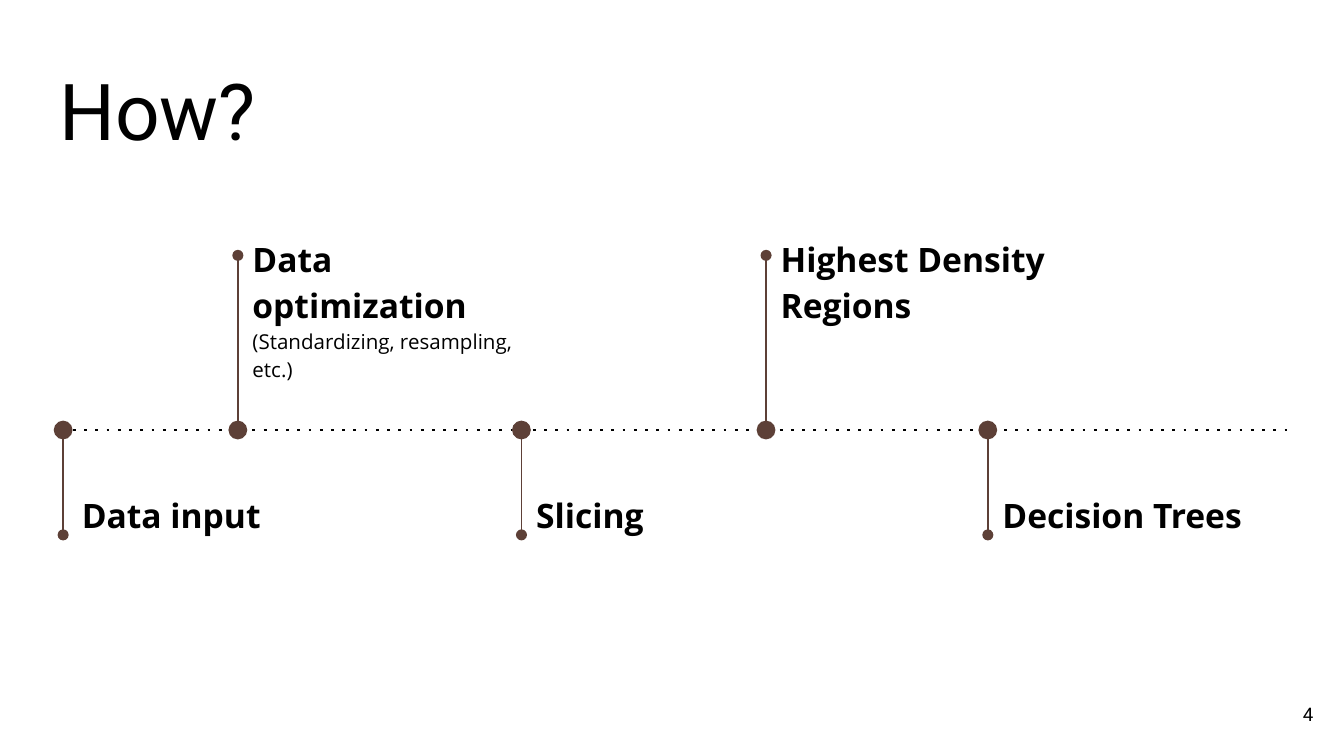
from pptx import Presentation
from pptx.dml.color import RGBColor
from pptx.enum.shapes import MSO_CONNECTOR, MSO_SHAPE
from pptx.enum.text import MSO_ANCHOR, MSO_AUTO_SIZE, PP_ALIGN
from pptx.oxml.ns import qn
from pptx.util import Inches, Pt
from lxml.etree import SubElement

# Content: x of the milestone, side of the axis, label gap, heading, detail
TITLE = "How?"
PAGE = "4"
STEPS = [
    (0.47, "below", 0.04, "Data input", None),
    (1.77, "above", 0.01, "Data optimization", "(Standardizing, resampling, etc.)"),
    (3.88, "below", 0.01, "Slicing", None),
    (5.70, "above", 0.01, "Highest Density Regions", None),
    (7.35, "below", 0.01, "Decision Trees", None),
]

THEME = {
    "ink": RGBColor(0x00, 0x00, 0x00),
    "accent": RGBColor(0x5D, 0x40, 0x37),
    "head": "Roboto", "body": "Open Sans",
    "title": 42, "step": 18, "detail": 11, "page": 10,
}

# Layout in inches
AXIS_Y, AXIS_X = 3.2, (0.46, 9.58)
DOT = 0.14
LABEL_W = 2.38
SIDES = {  # stem start, stem end, label top, label height
    "above": (AXIS_Y - DOT / 2, 1.9, 1.63, 1.2),
    "below": (AXIS_Y + DOT / 2, 3.98, 3.54, 1.32),
}

# Widescreen 16:9 slide
prs = Presentation()
prs.slide_width = Inches(10)
prs.slide_height = prs.slide_width * 9 // 16
s = prs.slides.add_slide(prs.slide_layouts[5])


def add_line(x1, y1, x2, y2, color, width, **ends):
    """Draw a line; ends maps a DrawingML line child to its attributes."""
    ln = s.shapes.add_connector(MSO_CONNECTOR.STRAIGHT, *map(Inches, (x1, y1, x2, y2)))
    ln.line.color.rgb = THEME[color]
    ln.line.width = Pt(width)
    for tag, attrs in ends.items():
        SubElement(ln.line._ln, qn("a:" + tag), attrs)
    SubElement(ln._element.spPr, qn("a:effectLst"))


def set_frame(sp, anchor):
    tf = sp.text_frame
    tf.word_wrap = True
    tf.auto_size = MSO_AUTO_SIZE.NONE
    tf.vertical_anchor = anchor
    tf.margin_left = tf.margin_right = tf.margin_top = tf.margin_bottom = Inches(0.1)
    return tf


def add_box(x, y, w, h, anchor=MSO_ANCHOR.TOP):
    return set_frame(s.shapes.add_textbox(*map(Inches, (x, y, w, h))), anchor)


def write(p, text, face, size, bold=False, align=PP_ALIGN.LEFT, spacing=1.0):
    p.text = text
    p.alignment, p.line_spacing = align, spacing
    p.font.name, p.font.size, p.font.bold = THEME[face], Pt(THEME[size]), bold
    p.font.color.rgb = THEME["ink"]


# Time axis
add_line(AXIS_X[0], AXIS_Y, AXIS_X[1], AXIS_Y, "ink", 1.5, prstDash={"val": "dot"})

# Title
title = s.shapes.title
title.left, title.top, title.width, title.height = map(Inches, (0.34, 0.35, 9.32, 0.91))
write(set_frame(title, MSO_ANCHOR.BOTTOM).paragraphs[0], TITLE, "head", "title")

# Milestones
for x, side, gap, heading, detail in STEPS:
    start, end, top, height = SIDES[side]
    dot = s.shapes.add_shape(
        MSO_SHAPE.OVAL, *map(Inches, (x - DOT / 2, AXIS_Y - DOT / 2, DOT, DOT)))
    dot.shadow.inherit = False
    dot.fill.solid()
    dot.fill.fore_color.rgb = THEME["accent"]
    dot.line.fill.background()
    add_line(x, start, x, end, "accent", 0.75, tailEnd={"type": "oval"})
    tf = add_box(x + gap, top, LABEL_W, height)
    write(tf.paragraphs[0], heading, "body", "step", bold=True, spacing=1.15)
    if detail:
        write(tf.add_paragraph(), detail, "body", "detail", spacing=1.15)

# Page number
tf = add_box(9.27, 5.1, 0.6, 0.43, MSO_ANCHOR.MIDDLE)
write(tf.paragraphs[0], PAGE, "head", "page", align=PP_ALIGN.RIGHT)

prs.save("out.pptx")
